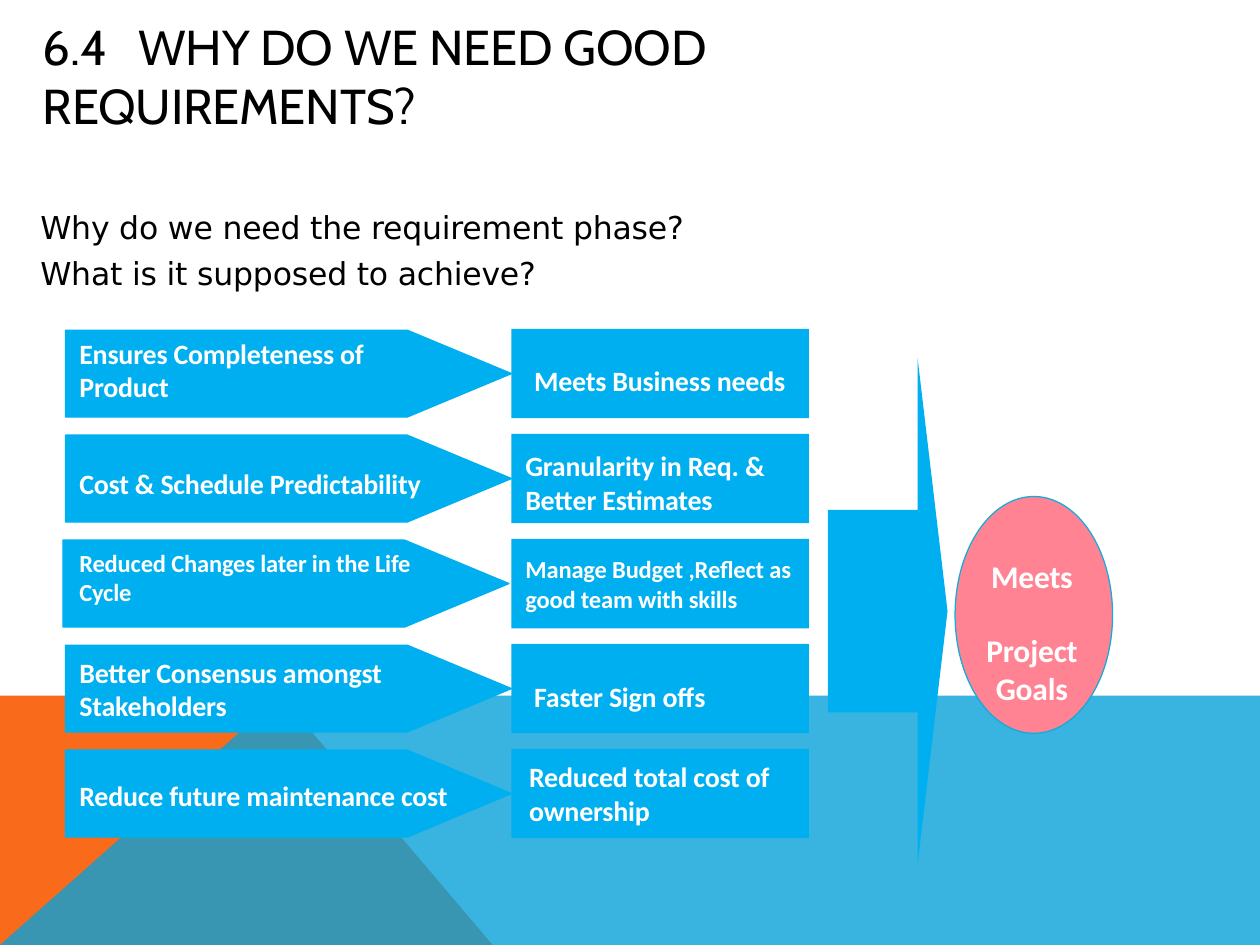
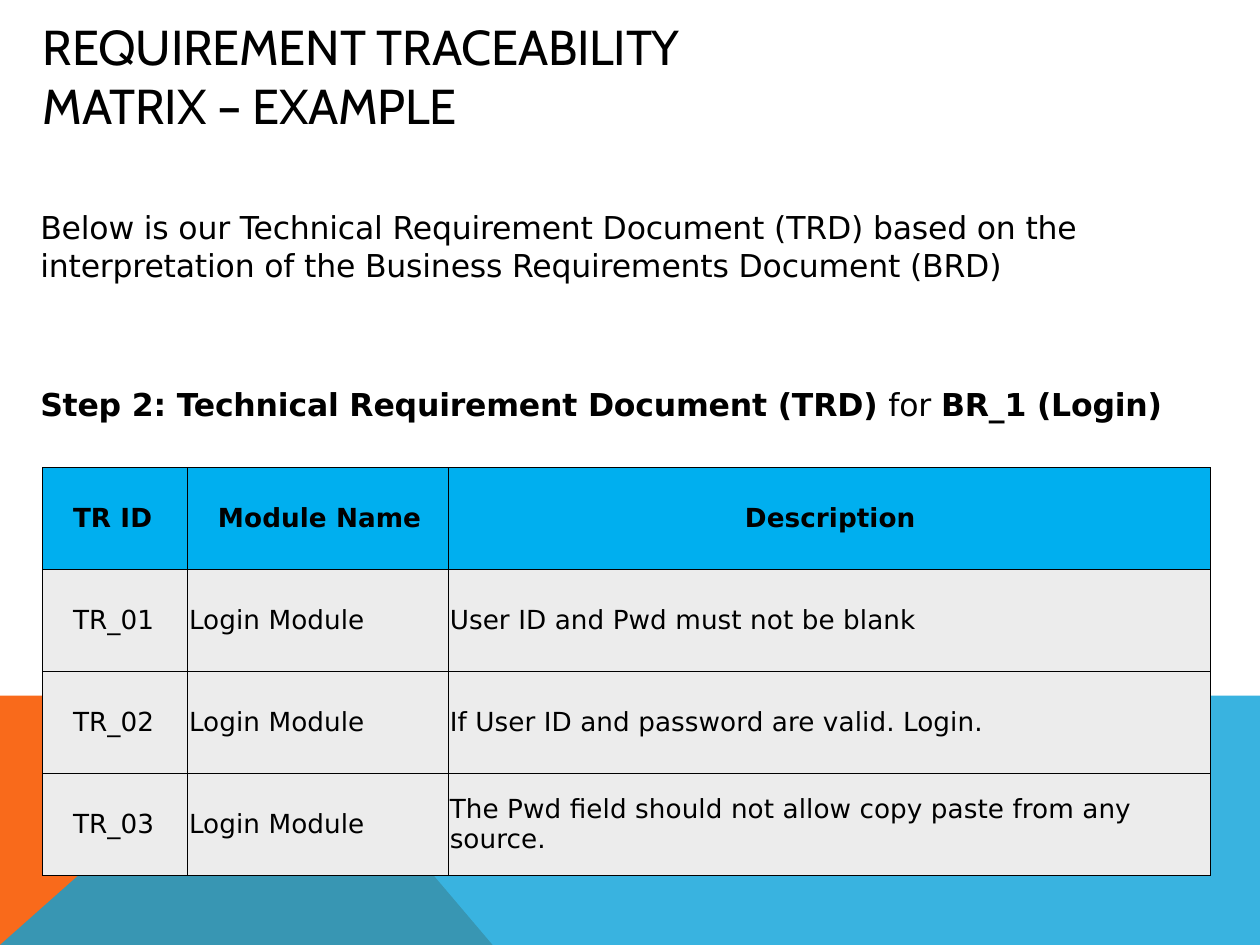
from lxml import etree
from pptx import Presentation
from pptx.dml.color import RGBColor
from pptx.enum.shapes import MSO_SHAPE
from pptx.enum.text import MSO_ANCHOR, PP_ALIGN
from pptx.oxml.ns import qn
from pptx.util import Inches, Pt

COLORS = {
    "black": "000000",
    "white": "FFFFFF",
    "orange": "F96A1B",
    "band": "08A1D9",
    "sky": "00AFEF",
    "pink": "FF8393",
    "goal line": "12ABDB",
    "row": "ECECEC",
}


def color(name):
    return RGBColor.from_string(COLORS[name])


class Deck:
    """Holds the shared style and the slide being built."""

    title_font, body_font, label_font = "Cabin", "DejaVu Sans", "Calibri"

    def __init__(self):
        self.presentation = Presentation()
        self.presentation.slide_width = Inches(10)
        self.presentation.slide_height = Inches(7.5)
        self.slide = None

    def add_slide(self, title):
        layout = self.presentation.slide_layouts[6]
        self.slide = self.presentation.slides.add_slide(layout)
        self.polygon([(0, 7.5), (0, 5.52), (2.23, 5.52), (3.91, 7.5)], "orange")
        self.polygon([(0, 7.5), (2.23, 5.52), (10, 5.52), (10, 7.5)], "band", 80)
        self.title(title)

    def paint(self, shape, fill, line=None):
        shape.shadow.inherit = False
        shape.fill.solid()
        shape.fill.fore_color.rgb = color(fill)
        if line:
            shape.line.color.rgb = color(line)
            shape.line.width = Pt(0.72)
        else:
            shape.line.fill.background()

    def polygon(self, points, fill, opacity=100):
        corners = [(Inches(x), Inches(y)) for x, y in points]
        builder = self.slide.shapes.build_freeform(*corners[0])
        builder.add_line_segments(corners[1:], close=True)
        shape = builder.convert_to_shape()
        self.paint(shape, fill)
        if opacity < 100:
            fill_color = shape._element.spPr.find(qn("a:solidFill"))[0]
            etree.SubElement(fill_color, qn("a:alpha"), val=str(opacity * 1000))

    def shape(self, preset, left, top, width, height, fill, line=None, adjustments=()):
        shape = self.slide.shapes.add_shape(
            preset, Inches(left), Inches(top), Inches(width), Inches(height))
        self.paint(shape, fill, line)
        for index, value in enumerate(adjustments):
            shape.adjustments[index] = value
        return shape

    def format_runs(self, paragraph, font, size, ink, bold=False, spacing=-10):
        for run in paragraph.runs:
            run.font.name = font
            run.font.size = Pt(size)
            run.font.color.rgb = color(ink)
            run.font.bold = bold
            run._r.get_or_add_rPr().set("spc", str(spacing))

    def frame(self, text_frame, text, font, size, ink, bold=False,
              left=0, top=0, anchor=MSO_ANCHOR.TOP, align=PP_ALIGN.LEFT):
        text_frame.text = text
        text_frame.word_wrap = True
        text_frame.vertical_anchor = anchor
        text_frame.margin_left, text_frame.margin_top = Inches(left), Inches(top)
        text_frame.margin_right = text_frame.margin_bottom = 0
        for paragraph in text_frame.paragraphs:
            paragraph.alignment = align
            self.format_runs(paragraph, font, size, ink, bold)
        return text_frame

    def text_box(self, left, top, width, height, text, *style, **options):
        box = self.slide.shapes.add_textbox(
            Inches(left), Inches(top), Inches(width), Inches(height))
        return self.frame(box.text_frame, text, *style, **options)

    def title(self, text):
        text_frame = self.text_box(0.34, 0.42, 5.98, 0.36, text, self.title_font, 28,
                                   "black", anchor=MSO_ANCHOR.MIDDLE)
        properties = text_frame.paragraphs[0]._p.get_or_add_pPr()
        tabs = etree.SubElement(properties, qn("a:tabLst"))
        etree.SubElement(tabs, qn("a:tab"), pos=str(Inches(0.76)), algn="l")

    def body(self, top, width, height, text):
        return self.text_box(0.32, top, width, height, text,
                             self.body_font, 18, "black")

    def label(self, left, top, width, height, text, size=16, **options):
        return self.text_box(left, top, width, height, text,
                             self.label_font, size, "white", True, **options)

    def border(self, cell):
        properties = cell._tc.get_or_add_tcPr()
        for side in ("lnL", "lnR", "lnT", "lnB"):
            line = etree.SubElement(properties, qn(f"a:{side}"), w=str(Pt(0.5)))
            fill = etree.SubElement(line, qn("a:solidFill"))
            etree.SubElement(fill, qn("a:srgbClr"), val=COLORS["black"])

    def table(self, left, top, widths, row_height, rows):
        table = self.slide.shapes.add_table(
            len(rows), len(widths), Inches(left), Inches(top),
            Inches(sum(widths)), Inches(row_height * len(rows))).table
        for column, width in zip(table.columns, widths):
            column.width = Inches(width)
        for row_index, row in enumerate(rows):
            header = row_index == 0
            for column_index, text in enumerate(row):
                cell = table.cell(row_index, column_index)
                centered = header and column_index == 2
                indented = column_index == 0 or header and not centered
                cell.text_frame.text = text
                cell.vertical_anchor = MSO_ANCHOR.MIDDLE
                cell.margin_left = Inches(0.24 if indented else 0.01)
                cell.margin_right = cell.margin_top = cell.margin_bottom = 0
                paragraph = cell.text_frame.paragraphs[0]
                paragraph.alignment = PP_ALIGN.CENTER if centered else PP_ALIGN.LEFT
                self.format_runs(paragraph, self.body_font, 15, "black", header, 5)
                self.border(cell)
                cell.fill.solid()
                cell.fill.fore_color.rgb = color("sky" if header else "row")


def build_reasons(deck):
    deck.add_slide("6.4\tWHY DO WE NEED GOOD REQUIREMENTS?")
    questions = deck.body(1.65, 5.21, 0.7, "Why do we need the requirement phase?\n"
                                           "What is it supposed to achieve?")
    questions.paragraphs[1].space_before = Pt(5)

    # Reason: text, size, text top in row, text width, arrow left
    reasons = [
        ("Ensures Completeness of Product", 16, 0.05, 2.42, 0.52),
        ("Cost & Schedule Predictability", 16, 0.25, 2.88, 0.52),
        ("Reduced Changes later in the Life Cycle", 14, 0.06, 2.8, 0.5),
        ("Better Consensus amongst Stakeholders", 16, 0.08, 2.58, 0.52),
        ("Reduce future maintenance cost", 16, 0.23, 3.11, 0.52),
    ]
    # Benefit: text, size, left inset, top inset
    benefits = [
        ("Meets Business needs", 16, 0.18, 0.11),
        ("Granularity in Req. &\nBetter Estimates", 16, 0.11, 0.06),
        ("Manage Budget ,Reflect as\ngood team with skills", 14, 0.11, 0),
        ("Faster Sign offs", 16, 0.18, 0.12),
        ("Reduced total cost of\nownership", 16, 0.14, 0),
    ]
    first_top, pitch = 2.62, 0.83
    for index, (reason, benefit) in enumerate(zip(reasons, benefits)):
        top = first_top + index * (pitch + 0.0033)
        text, size, offset, width, left = reason
        deck.shape(MSO_SHAPE.PENTAGON, left, top, 3.54, 0.69, "sky", "sky", [1.2])
        deck.label(0.63, top + offset, width, 0.3, text, size)
        text, size, inset_left, inset_top = benefit
        box = deck.shape(MSO_SHAPE.RECTANGLE, 4.06, top - 0.01, 2.36, 0.71, "sky")
        deck.frame(box.text_frame, text, deck.label_font, size, "white", True,
                   inset_left, inset_top, MSO_ANCHOR.MIDDLE)

    # Arrow to the goal
    deck.shape(MSO_SHAPE.RIGHT_ARROW, 6.57, 2.84, 0.95, 4.02, "sky",
               adjustments=[0.4, 0.25])
    deck.shape(MSO_SHAPE.OVAL, 7.58, 3.94, 1.25, 1.88, "pink", "goal line")
    goal = deck.label(7.79, 4.42, 0.8, 0.93, "Meets\nProject Goals", 18,
                      align=PP_ALIGN.CENTER)
    goal.paragraphs[1].space_before = Pt(21)


def build_matrix(deck):
    deck.add_slide("REQUIREMENT TRACEABILITY MATRIX – EXAMPLE")
    deck.body(1.65, 8.41, 0.63, "Below is our Technical Requirement Document (TRD) based on "
              "the interpretation of the Business Requirements Document (BRD)")

    # Step heading with a regular word between bold parts
    step = deck.body(3.06, 9.3, 0.33, "Step 2: Technical Requirement Document (TRD) ")
    paragraph = step.paragraphs[0]
    for text in ("for ", "BR_1 (Login)"):
        paragraph.add_run().text = text
    deck.format_runs(paragraph, deck.body_font, 18, "black", True)
    paragraph.runs[1].font.bold = False

    deck.table(0.34, 3.71, [1.15, 2.07, 6.05], 0.81, [
        ("TR ID", "Module Name", "Description"),
        ("TR_01", "Login Module", "User ID and Pwd must not be blank"),
        ("TR_02", "Login Module", "If User ID and password are valid. Login."),
        ("TR_03", "Login Module",
         "The Pwd field should not allow copy paste from any source."),
    ])


def main():
    deck = Deck()
    build_reasons(deck)
    build_matrix(deck)
    deck.presentation.save("out.pptx")


if __name__ == "__main__":
    main()
